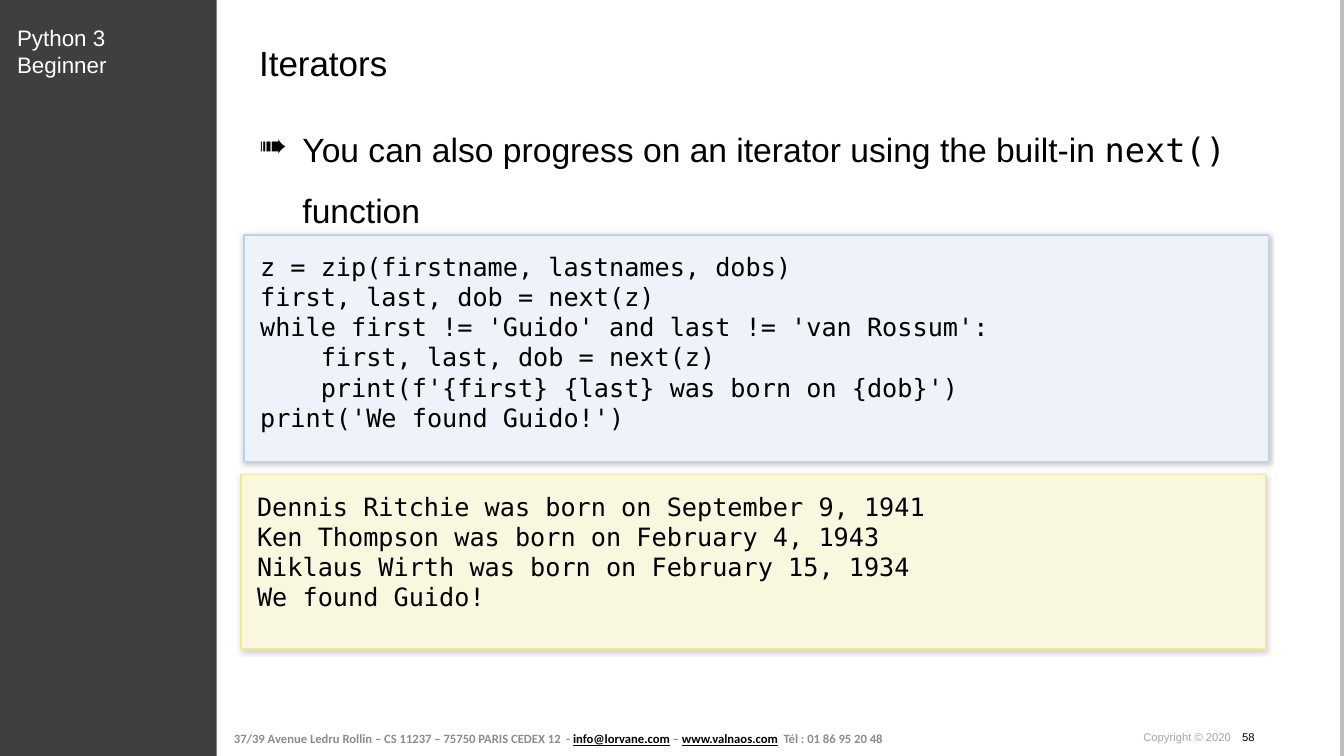
from lxml.etree import SubElement
from pptx import Presentation
from pptx.dml.color import RGBColor
from pptx.enum.shapes import MSO_CONNECTOR as CONNECTOR, MSO_SHAPE as SHAPE
from pptx.enum.text import MSO_ANCHOR as ANCHOR, PP_ALIGN as ALIGN
from pptx.oxml.ns import qn
from pptx.util import Inches, Pt

WIDTH, HEIGHT = 13.33, 7.5
SIDEBAR_WIDTH = 2.15
CONTENT_LEFT = 2.57
HANG = 0.43
CODE_WIDTH = 10.16
CODE_INSET = 0.16

BLACK = RGBColor(0x00, 0x00, 0x00)
WHITE = RGBColor(0xFF, 0xFF, 0xFF)
CHARCOAL = RGBColor(0x3F, 0x3F, 0x3F)
EDGE_GREY = RGBColor(0xBE, 0xBE, 0xBE)
FOOTER_GREY = RGBColor(0x8C, 0x8C, 0x8C)
COPYRIGHT_GREY = RGBColor(0xA4, 0xA4, 0xA4)
CODE_FILL = RGBColor(0xEE, 0xF3, 0xF9)
CODE_LINE = RGBColor(0xBB, 0xD2, 0xEE)
OUTPUT_FILL = RGBColor(0xF9, 0xF8, 0xDF)
OUTPUT_LINE = RGBColor(0xF1, 0xED, 0x86)

SANS, MONO, FOOTER_FONT = "Arial", "DejaVu Sans Mono", "Calibri"

CODE = """z = zip(firstname, lastnames, dobs)
first, last, dob = next(z)
while first != 'Guido' and last != 'van Rossum':
    first, last, dob = next(z)
    print(f'{first} {last} was born on {dob}')
print('We found Guido!')"""

OUTPUT = """Dennis Ritchie was born on September 9, 1941
Ken Thompson was born on February 4, 1943
Niklaus Wirth was born on February 15, 1934
We found Guido!"""


def set_insets(text_frame, horizontal, vertical):
    """Wrap the text and set its margins in inches."""
    text_frame.word_wrap = True
    text_frame.margin_left = text_frame.margin_right = Inches(horizontal)
    text_frame.margin_top = text_frame.margin_bottom = Inches(vertical)


def add_text(slide, box, insets=(0, 0)):
    """Add an empty text box and return its text frame."""
    text_frame = slide.shapes.add_textbox(*map(Inches, box)).text_frame
    set_insets(text_frame, *insets)
    return text_frame


def add_run(paragraph, text, size, color, font=SANS):
    """Append a formatted run and return it."""
    run = paragraph.add_run()
    run.text = text
    run.font.name = font
    run.font.size = Pt(size)
    run.font.color.rgb = color
    return run


def add_sidebar(slide, box):
    """Draw the dark sidebar with the course name."""
    left, top, width, height = box
    panel = slide.shapes.add_shape(SHAPE.RECTANGLE, *map(Inches, box))
    panel.shadow.inherit = False
    panel.fill.solid()
    panel.fill.fore_color.rgb = CHARCOAL
    panel.line.fill.background()
    text_frame = add_text(slide, (left + 0.17, top + 0.24, width - 0.35, 0.54))
    add_run(text_frame.paragraphs[0], "Python 3 Beginner", 16, WHITE)


def add_edge(slide, x, height):
    """Draw the grey line along the right edge."""
    edge = slide.shapes.add_connector(
        CONNECTOR.STRAIGHT, Inches(x), 0, Inches(x), Inches(height))
    edge.line.color.rgb = EDGE_GREY
    edge.line.width = Pt(3.34)
    SubElement(edge._element.spPr, qn("a:effectLst"))


def add_title(slide, box):
    """Write the slide title."""
    add_run(add_text(slide, box).paragraphs[0], "Iterators", 25, BLACK)


def add_bullet(slide, box):
    """Write the bulleted statement with a hanging indent."""
    paragraph = add_text(slide, box).paragraphs[0]
    paragraph.line_spacing = 1.5
    properties = paragraph._p.get_or_add_pPr()
    properties.set("marL", str(Inches(HANG)))
    properties.set("indent", str(-Inches(HANG)))
    SubElement(properties, qn("a:buChar")).set("char", "➠")
    add_run(paragraph, "You can also progress on an iterator using the built-in ", 24, BLACK)
    add_run(paragraph, "next()", 24, BLACK, MONO)
    add_run(paragraph, " function", 24, BLACK)


def add_soft_shadow(shape):
    """Give a shape a faint shadow that falls straight down."""
    effects = SubElement(shape._element.spPr, qn("a:effectLst"))
    shadow = SubElement(effects, qn("a:outerShdw"), blurRad=str(Pt(4)),
                        dist=str(Pt(1)), dir="5400000", rotWithShape="0")
    color = SubElement(shadow, qn("a:srgbClr"), val="000000")
    SubElement(color, qn("a:alpha"), val="20000")


def add_listing(slide, box, text, fill, line):
    """Draw a shadowed panel of monospaced lines."""
    panel = slide.shapes.add_shape(SHAPE.RECTANGLE, *map(Inches, box))
    panel.fill.solid()
    panel.fill.fore_color.rgb = fill
    panel.line.color.rgb = line
    panel.line.width = Pt(1)
    add_soft_shadow(panel)
    text_frame = panel.text_frame
    set_insets(text_frame, CODE_INSET, CODE_INSET)
    text_frame.vertical_anchor = ANCHOR.TOP
    text_frame.text = text
    for paragraph in text_frame.paragraphs:
        paragraph.alignment = ALIGN.LEFT
        for run in paragraph.runs:
            run.font.name = MONO
            run.font.size = Pt(18)
            run.font.color.rgb = BLACK


def add_address(slide, box):
    """Write the address line with underlined contacts."""
    text_frame = add_text(slide, box, (0.07, 0.04))
    text_frame.vertical_anchor = ANCHOR.MIDDLE
    parts = (
        ("37/39 Avenue Ledru Rollin – CS 11237 – 75750 PARIS CEDEX 12  - ", False),
        ("info@lorvane.com", True),
        (" – ", False),
        ("www.valnaos.com", True),
        ("  Tél : 01 86 95 20 48", False),
    )
    for text, is_contact in parts:
        color = BLACK if is_contact else FOOTER_GREY
        run = add_run(text_frame.paragraphs[0], text, 9, color, FOOTER_FONT)
        run.font.bold = True
        run.font.underline = is_contact


def add_copyright(slide, box):
    """Write the copyright and the page number at a tab stop."""
    paragraph = add_text(slide, box).paragraphs[0]
    tabs = SubElement(paragraph._p.get_or_add_pPr(), qn("a:tabLst"))
    SubElement(tabs, qn("a:tab"), pos=str(Inches(0.98)), algn="l")
    add_run(paragraph, "Copyright © 2020\t", 8, COPYRIGHT_GREY)
    add_run(paragraph, "58", 8, BLACK)


def add_iterator_slide(presentation):
    """Build the slide on iterators."""
    slide = presentation.slides.add_slide(presentation.slide_layouts[6])
    add_edge(slide, WIDTH - 0.02, HEIGHT)
    add_sidebar(slide, (0, 0, SIDEBAR_WIDTH, HEIGHT))
    add_address(slide, (2.25, 7.17, 6.68, 0.32))
    add_title(slide, (CONTENT_LEFT, 0.41, 9.91, 0.42))
    add_copyright(slide, (11.34, 7.25, 1.71, 0.13))
    add_bullet(slide, (CONTENT_LEFT, 1.08, 10.01, 1.15))
    add_listing(slide, (2.42, 2.33, CODE_WIDTH, 2.25), CODE, CODE_FILL, CODE_LINE)
    add_listing(slide, (2.39, 4.71, CODE_WIDTH, 1.73), OUTPUT, OUTPUT_FILL, OUTPUT_LINE)


def main():
    """Create and save the presentation."""
    presentation = Presentation()
    presentation.slide_width = Inches(WIDTH)
    presentation.slide_height = Inches(HEIGHT)
    add_iterator_slide(presentation)
    presentation.save("out.pptx")


if __name__ == "__main__":
    main()
